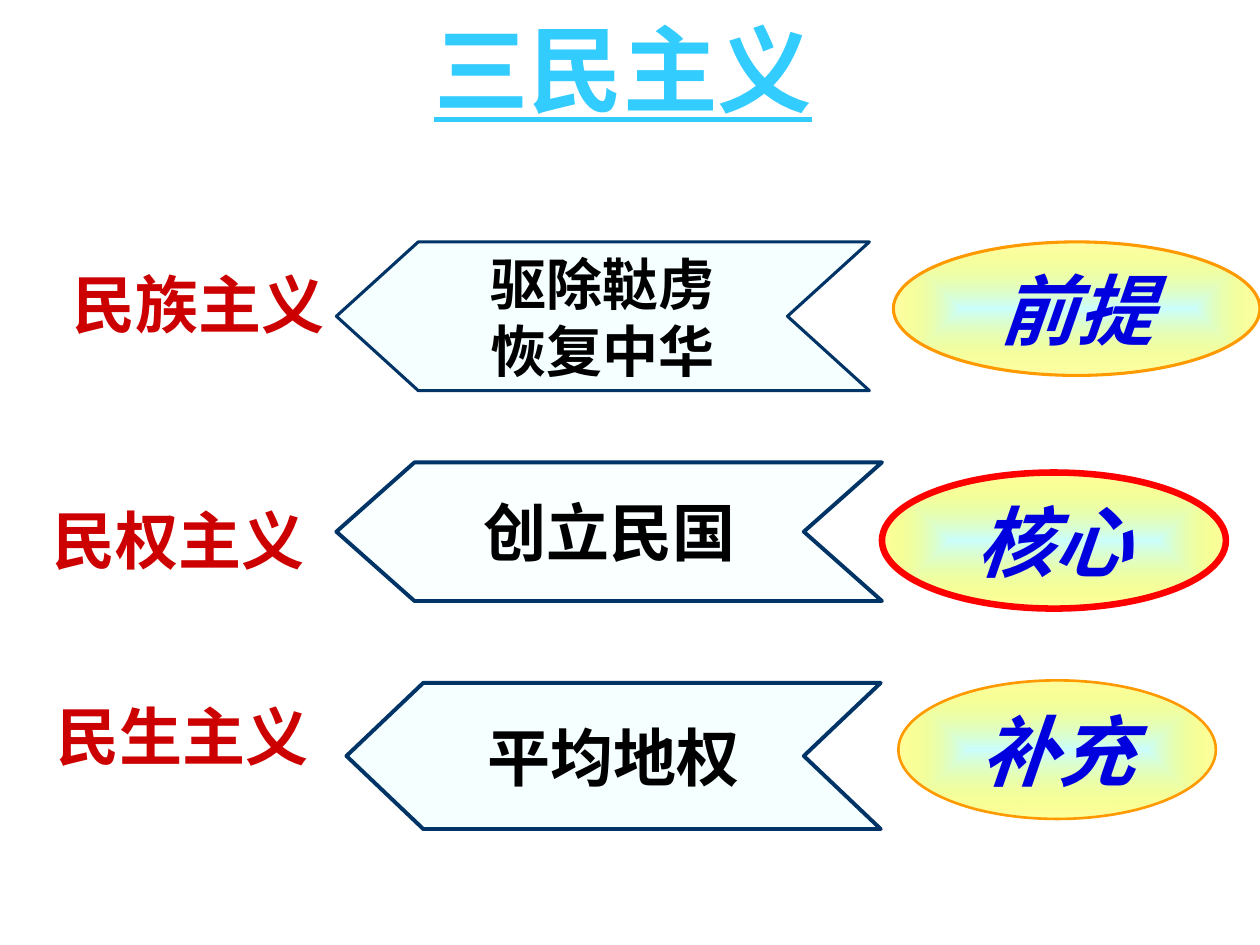
from lxml.etree import SubElement
from pptx import Presentation
from pptx.dml.color import RGBColor
from pptx.enum.shapes import MSO_SHAPE
from pptx.enum.text import MSO_ANCHOR, PP_ALIGN
from pptx.oxml.ns import qn
from pptx.util import Inches, Pt

RED = RGBColor(0xCC, 0x00, 0x00)
BRIGHT_RED = RGBColor(0xFF, 0x00, 0x00)
ORANGE = RGBColor(0xFF, 0x99, 0x00)
YELLOW = RGBColor(0xFF, 0xFF, 0x00)
PALE_CYAN = RGBColor(0xCC, 0xFF, 0xFF)
SKY = RGBColor(0x33, 0xCC, 0xFF)
NAVY = RGBColor(0x00, 0x33, 0x66)
BLUE = RGBColor(0x00, 0x00, 0xDE)
BLACK = RGBColor(0x00, 0x00, 0x00)

TITLE = "三民主义"
# Boxes are left, top, width, height in inches; opacity is in percent.
LABELS = [
    ("民族主义", (0.19, 2.06, 2.77, 0.7)),
    ("民权主义", (0.2, 3.93, 2.44, 0.7)),
    ("民生主义", (0.34, 5.49, 2.22, 0.7)),
]
# text, box, notch depth, opacity, line width, text size
ARROWS = [
    ("驱除鞑虏\n恢复中华", (2.67, 1.92, 4.23, 1.18), 0.65, 16, 1.75, 32),
    ("创立民国", (2.67, 3.67, 4.33, 1.1), 0.62, 9, 2.25, 36),
    ("平均地权", (2.75, 5.42, 4.24, 1.16), 0.61, 16, 2.25, 36),
]
# text, box, yellow opacity, line colour, line width
ROLES = [
    ("前提", (7.09, 1.92, 2.91, 1.06), 34, ORANGE, 1.75),
    ("核心", (7, 3.75, 2.73, 1.08), 38, BRIGHT_RED, 3.75),
    ("补充", (7.13, 5.4, 2.52, 1.1), 38, ORANGE, 1.5),
]


def inches(box):
    return [Inches(v) for v in box]


def write(sp, text, size, color, font="Arial", italic=None, wrap=False,
          anchor=MSO_ANCHOR.MIDDLE):
    """Fill a shape with centred bold text, one paragraph per line."""
    tf = sp.text_frame
    tf.text = text
    tf.word_wrap = wrap
    tf.vertical_anchor = anchor
    for p in tf.paragraphs:
        p.alignment = PP_ALIGN.CENTER
        for r in p.runs:
            r.font.size = Pt(size)
            r.font.bold = True
            r.font.italic = italic
            r.font.color.rgb = color
            r.font.name = font
            SubElement(r.font._element, qn("a:ea"), typeface=font)


def outline(sp, color, width):
    sp.shadow.inherit = False
    sp.line.color.rgb = color
    sp.line.width = Pt(width)


def set_opacity(color_element, percent):
    SubElement(color_element, qn("a:alpha"), val=str(percent * 1000))


def add_arrow(shapes, box, notch):
    """Draw a chevron that points left."""
    x, y, w, h = box
    right, middle, bottom = x + w, y + h / 2, y + h
    points = [(right, y), (x + notch, y), (x, middle), (x + notch, bottom),
              (right, bottom), (right - notch, middle)]
    points = [inches(point) for point in points]
    builder = shapes.build_freeform(*points[0])
    builder.add_line_segments(points[1:], close=True)
    return builder.convert_to_shape()


def fill_glow(sp, opacity):
    """Blend from pale cyan in the centre to translucent yellow at the edge."""
    sp.fill.gradient()
    for stop, color in zip(sp.fill.gradient_stops, (PALE_CYAN, YELLOW)):
        stop.color.rgb = color
    grad = sp._element.spPr.find(qn("a:gradFill"))
    set_opacity(grad.findall(".//" + qn("a:srgbClr"))[-1], opacity)
    path = SubElement(grad, qn("a:path"), {"path": "rect"})
    SubElement(path, qn("a:fillToRect"), dict.fromkeys("ltrb", "50000"))
    grad.replace(grad.find(qn("a:lin")), path)


def main():
    prs = Presentation()
    prs.slide_width, prs.slide_height = Inches(10), Inches(7.5)
    slide = prs.slides.add_slide(prs.slide_layouts[5])
    shapes = slide.shapes

    title = shapes.title
    title.left, title.top, title.width, title.height = inches(
        (2.72, 0.21, 4.45, 1.31))
    write(title, TITLE, 54, SKY, "Noto Sans CJK SC", anchor=MSO_ANCHOR.TOP)
    p = title.text_frame.paragraphs[0]
    p.line_spacing = 0.8
    p.runs[0].font.underline = True

    for text, box in LABELS:
        sp = shapes.add_textbox(*inches(box))
        write(sp, text, 36, RED, wrap=True, anchor=MSO_ANCHOR.TOP)

    for text, box, notch, opacity, width, size in ARROWS:
        sp = add_arrow(shapes, box, notch)
        sp.fill.solid()
        sp.fill.fore_color.rgb = PALE_CYAN
        set_opacity(sp._element.spPr.find(".//" + qn("a:srgbClr")), opacity)
        outline(sp, NAVY, width)
        write(sp, text, size, BLACK)

    for text, box, opacity, color, width in ROLES:
        sp = shapes.add_shape(MSO_SHAPE.OVAL, *inches(box))
        fill_glow(sp, opacity)
        outline(sp, color, width)
        write(sp, text, 44, BLUE, italic=True)

    prs.save("out.pptx")


if __name__ == "__main__":
    main()
